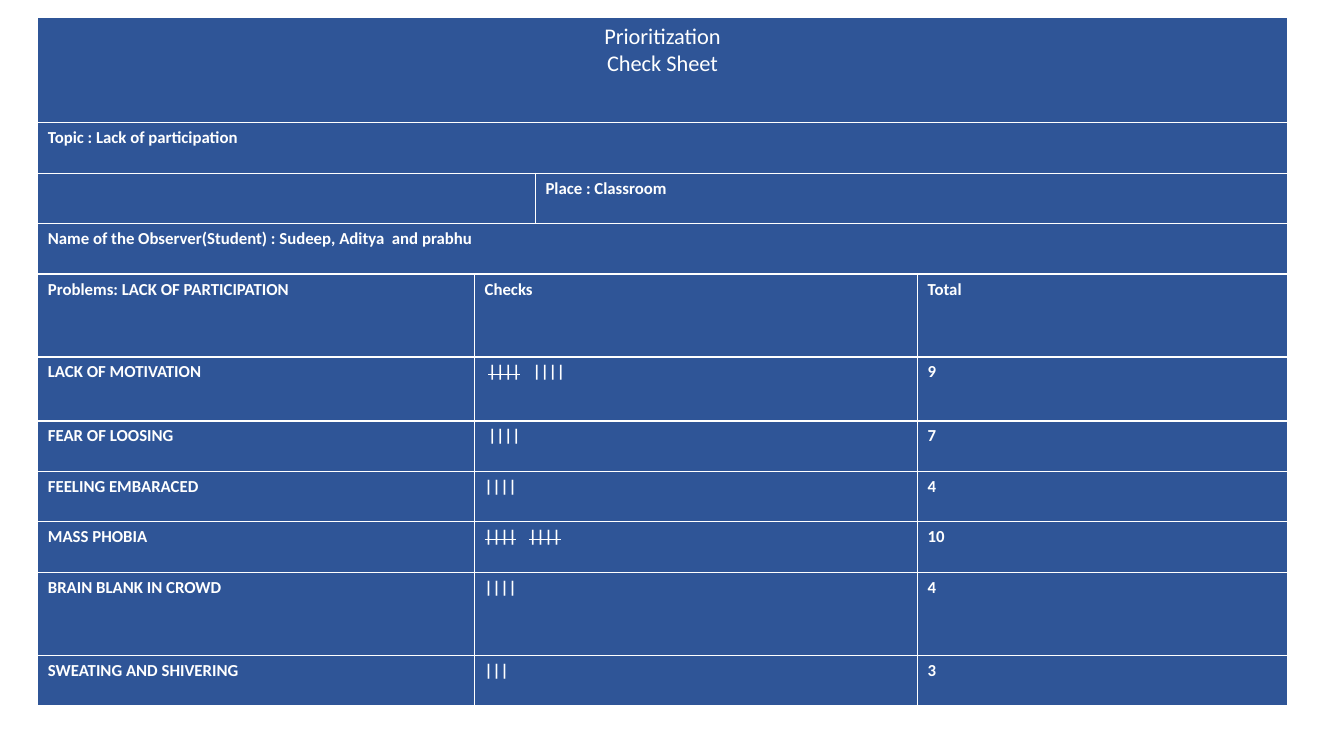
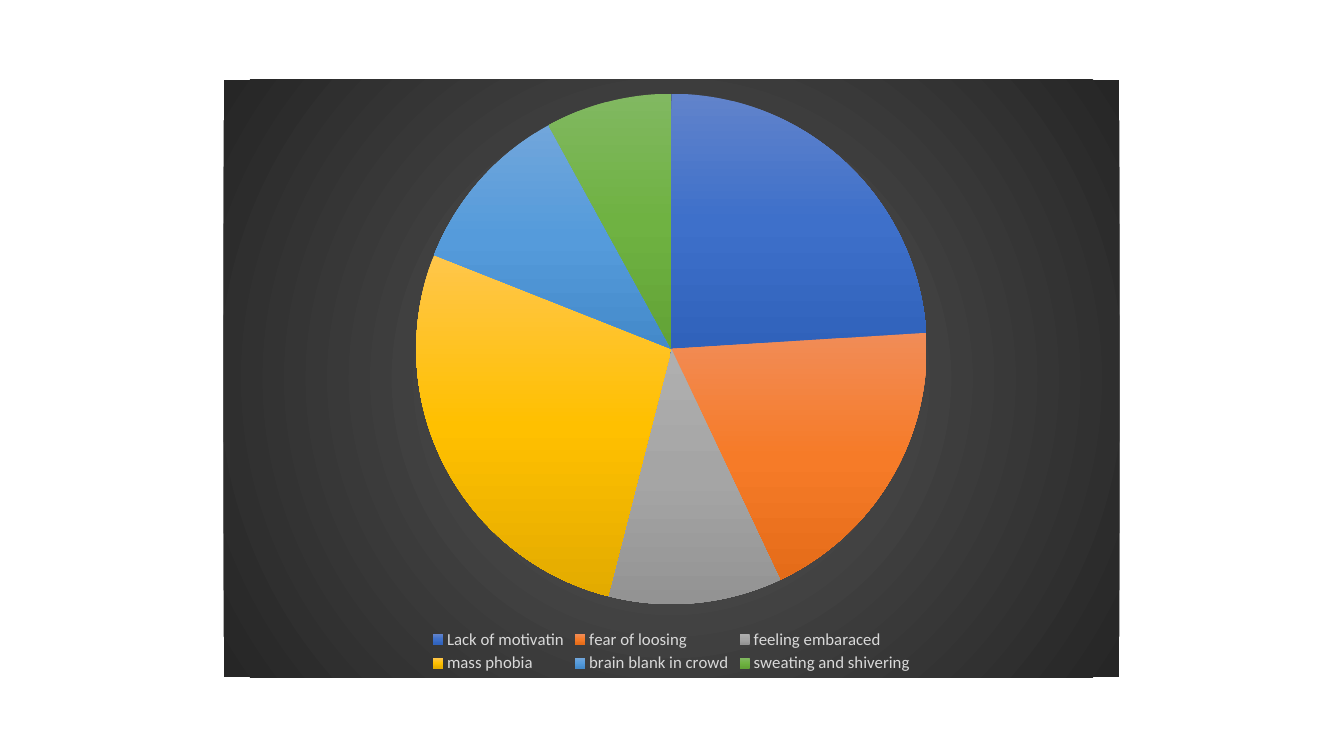
from lxml import etree
from pptx import Presentation
from pptx import util as u
from pptx.chart import data as chart_data
from pptx.dml.color import RGBColor
from pptx.enum import chart as chart_enum
from pptx.enum import text
from pptx.oxml import ns

FONT = "Calibri"
COLORS = {"cell": "2F5597", "white": "FFFFFF", "chart_text": "000000", "legend": "D9D9D9"}
BACKDROP = ["595959", "262626"]

COLUMNS = [416, 58, 364, 352]
ROWS = [100, 48, 48, 48, 79, 61, 48, 48, 48, 79, 48]

# Each row lists (text, columns covered); "~" marks a struck-out tally group
HEADER = [
    [("Prioritization\nCheck Sheet", 4)],
    [("Topic : Lack of participation", 4)],
    [("", 2), ("Place : Classroom", 2)],
    [("Name of the Observer(Student) : Sudeep, Aditya  and prabhu", 4)],
]
PROBLEMS = [
    ("Problems: LACK OF PARTICIPATION", "Checks", "Total"),
    ("LACK OF MOTIVATION", " ~||||~\t||||", "9"),
    ("FEAR OF LOOSING", " ||||", "7"),
    ("FEELING EMBARACED", "||||", "4"),
    ("MASS PHOBIA", "~||||~\t~||||~", "10"),
    ("BRAIN BLANK IN CROWD", "||||", "4"),
    ("SWEATING AND SHIVERING", "|||", "3"),
]

# Category, value, gradient from top to bottom
SLICES = [
    ("Lack of motivatin", 24, ["6183CB", "3E70CA", "3062BB"]),
    ("fear of loosing", 19, ["F18C57", "F67B28", "E56C19"]),
    ("feeling embaraced", 11, ["AFAFAF", "A5A5A5", "939393"]),
    ("mass phobia", 27, ["FFC64B", "FFC000", "E3AB00"]),
    ("brain blank in crowd", 11, ["71A6DB", "559BDB", "448ACA"]),
    ("sweating and shivering", 8, ["81B861", "6FB242", "62A336"]),
]


def px(length):
    return u.Emu(length * 9525)


def color(name):
    return RGBColor.from_string(COLORS[name])


def set_font(font, size, color_name, bold=False):
    font.name = FONT
    font.size = u.Pt(size)
    font.bold = bold
    font.color.rgb = color(color_name)


def add_child(parent, tag, **attributes):
    return etree.SubElement(parent, ns.qn(tag), attributes)


def set_borders(cell):
    properties = cell._tc.get_or_add_tcPr()
    for index, side in enumerate(("a:lnL", "a:lnR", "a:lnT", "a:lnB")):
        line = etree.Element(ns.qn(side), w=str(u.Pt(1)))
        add_child(add_child(line, "a:solidFill"), "a:srgbClr", val=COLORS["white"])
        properties.insert(index, line)


def set_tab(paragraph, position):
    tabs = add_child(paragraph._p.get_or_add_pPr(), "a:tabLst")
    add_child(tabs, "a:tab", pos=str(px(position)), algn="l")


def write_cell(cell, content, is_title):
    for index, line in enumerate(content.split("\n")):
        frame = cell.text_frame
        paragraph = frame.add_paragraph() if index else frame.paragraphs[0]
        for part, words in enumerate(line.split("~")):
            if words:
                run = paragraph.add_run()
                run.text = words
                if part % 2:
                    run.font._element.set("strike", "sngStrike")
        if is_title:
            paragraph.alignment = text.PP_ALIGN.CENTER
        set_font(paragraph.font, 16 if is_title else 12, "white", not is_title)
        if "\t" in line:
            set_tab(paragraph, 46 if line.startswith(" ") else 42)


def add_check_sheet(slide):
    frame = slide.shapes.add_table(len(ROWS), len(COLUMNS), px(36), px(17),
                                   px(sum(COLUMNS)), px(sum(ROWS)))
    table = frame.table
    table.first_row = table.horz_banding = False
    for column, width in zip(table.columns, COLUMNS):
        column.width = px(width)
    for row, height in zip(table.rows, ROWS):
        row.height = px(height)
    for cell in table.iter_cells():
        cell.fill.solid()
        cell.fill.fore_color.rgb = color("cell")
        set_borders(cell)

    content = HEADER + [list(zip(problem, (1, 2, 1))) for problem in PROBLEMS]
    for row, cells in enumerate(content):
        column = 0
        for words, span in cells:
            cell = table.cell(row, column)
            if span > 1:
                cell.merge(table.cell(row, column + span - 1))
            write_cell(cell, words, row == 0)
            column += span


def make_gradient(stops, radial=False):
    gradient = etree.Element(ns.qn("a:gradFill"), rotWithShape="1")
    stop_list = add_child(gradient, "a:gsLst")
    for index, value in enumerate(stops):
        position = 100000 * index // (len(stops) - 1)
        stop = add_child(stop_list, "a:gs", pos=str(position))
        add_child(stop, "a:srgbClr", val=value)
    if radial:
        circle = add_child(gradient, "a:path", path="circle")
        add_child(circle, "a:fillToRect", l="50000", t="50000", r="50000", b="50000")
    else:
        add_child(gradient, "a:lin", ang="5400000", scaled="0")
    return gradient


def add_pie(slide):
    data = chart_data.CategoryChartData()
    data.categories = [name for name, _, _ in SLICES]
    data.add_series("Series 1", [value for _, value, _ in SLICES])
    frame = slide.shapes.add_chart(chart_enum.XL_CHART_TYPE.PIE, px(213), px(76),
                                   px(853), px(569), data)
    chart = frame.chart
    chart.has_title = False
    set_font(chart.font, 10, "chart_text")
    chart.has_legend = True
    chart.legend.position = chart_enum.XL_LEGEND_POSITION.BOTTOM
    chart.legend.include_in_layout = False
    set_font(chart.legend.font, 12, "legend")

    # Radial backdrop
    backdrop = etree.Element(ns.qn("c:spPr"))
    backdrop.append(make_gradient(BACKDROP, radial=True))
    add_child(add_child(backdrop, "a:ln"), "a:noFill")
    chart.element.find(ns.qn("c:chart")).addnext(backdrop)

    # Slice gradients
    plot = chart.plots[0]
    plot.vary_by_categories = True
    points = plot.series[0].points
    for index in range(len(SLICES)):
        points[index].format.fill.background()
        points[index].format.line.fill.background()
    for point, (_, _, stops) in zip(chart.element.iter(ns.qn("c:dPt")), SLICES):
        properties = point.find(ns.qn("c:spPr"))
        properties.replace(properties.find(ns.qn("a:noFill")), make_gradient(stops))


def main():
    presentation = Presentation()
    presentation.slide_width, presentation.slide_height = px(1280), px(720)
    blank = presentation.slide_layouts[6]
    for build in (add_check_sheet, add_pie):
        build(presentation.slides.add_slide(blank))
    presentation.save("out.pptx")


if __name__ == "__main__":
    main()
